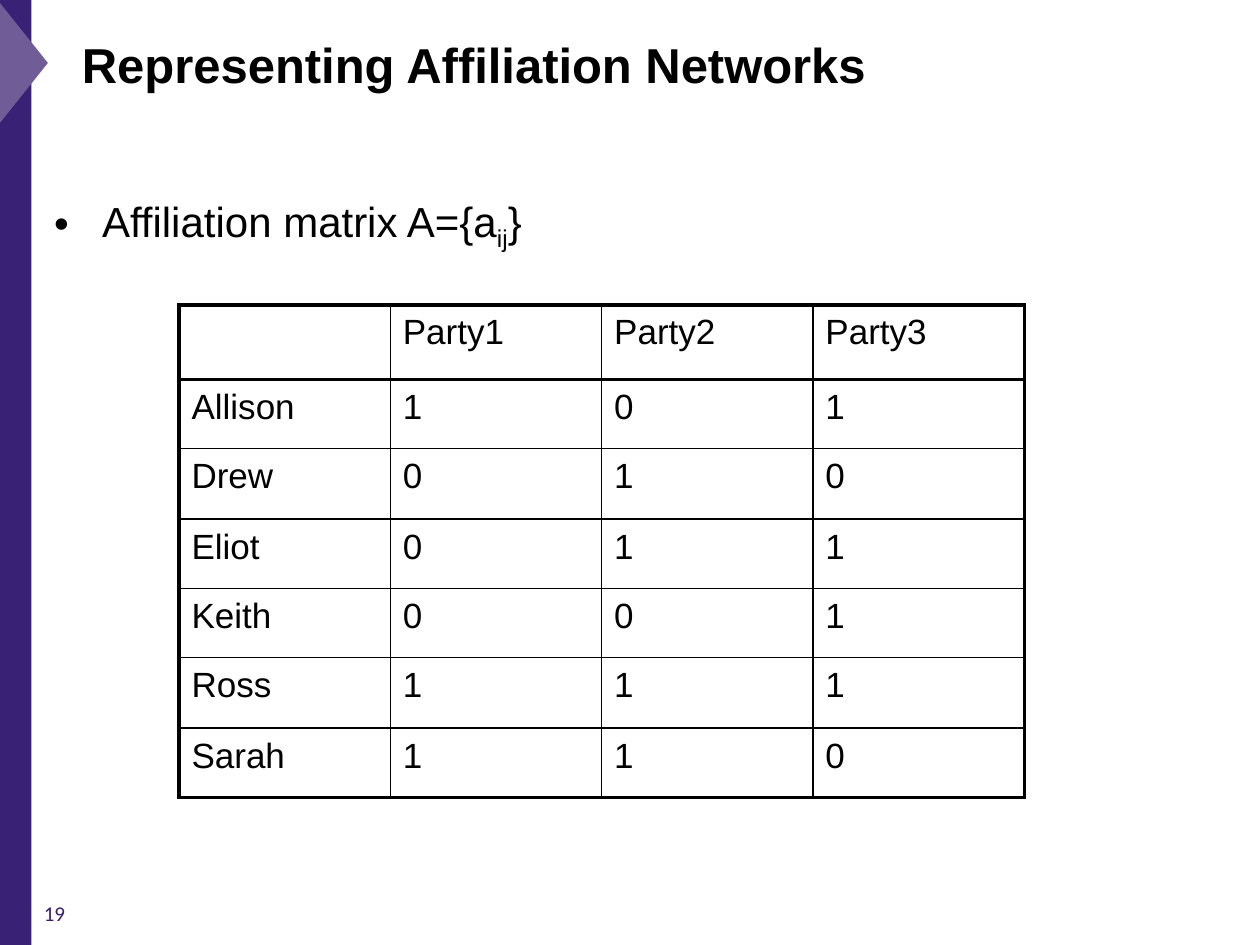
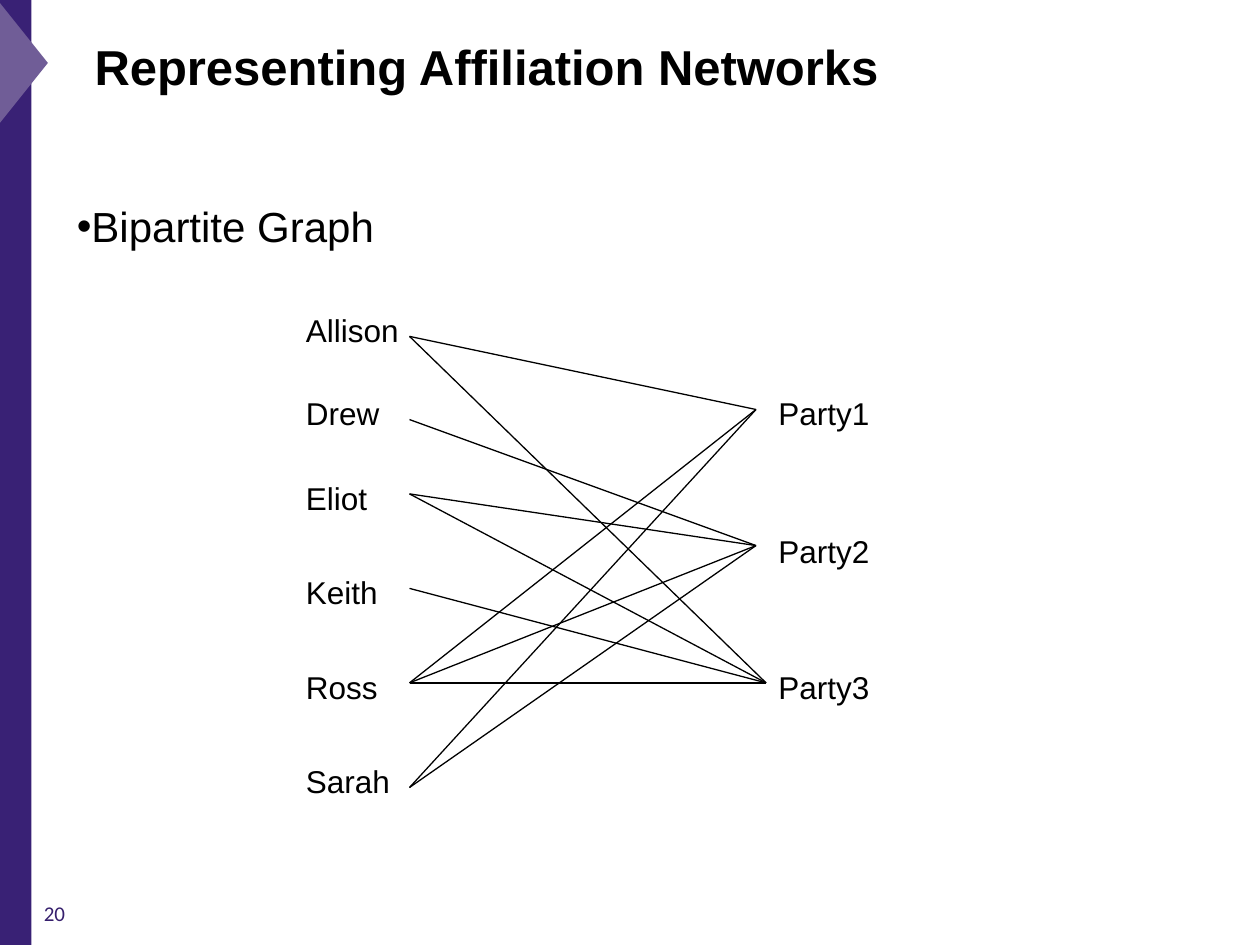
from dataclasses import dataclass

from lxml import etree
from pptx import Presentation
from pptx.dml.color import RGBColor
from pptx.enum.shapes import MSO_CONNECTOR, MSO_SHAPE
from pptx.enum.text import MSO_ANCHOR, MSO_AUTO_SIZE, PP_ALIGN
from pptx.oxml.ns import qn
from pptx.util import Inches, Pt

LINE = MSO_CONNECTOR.STRAIGHT
RECT = MSO_SHAPE.RECTANGLE
ARROW = MSO_SHAPE.ISOSCELES_TRIANGLE
TOP, BOTTOM = MSO_ANCHOR.TOP, MSO_ANCHOR.BOTTOM
FIXED = MSO_AUTO_SIZE.NONE
LEFT = PP_ALIGN.LEFT


@dataclass(frozen=True)
class Theme:
    ink: str = "000000"
    band: str = "392175"
    tip: str = "705D97"
    page: str = "361F6D"
    face: str = "Arial"
    foot: str = "Calibri"
    head: int = 28
    list: int = 24
    cell: int = 20
    label: int = 18
    note: int = 12
    thick: float = 2.25
    thin: float = 1
    edge: float = 0.75


TITLE = "Representing Affiliation Networks"
PARTIES = ["Party1", "Party2", "Party3"]
LINKS = {
    "Allison": (1, 0, 1),
    "Drew": (0, 1, 0),
    "Eliot": (0, 1, 1),
    "Keith": (0, 0, 1),
    "Ross": (1, 1, 1),
    "Sarah": (1, 1, 0),
}


def place(shape, box):
    shape.left, shape.top, shape.width, shape.height = map(Inches, box)


class Deck:
    def __init__(self, theme):
        self.theme = theme
        self.file = Presentation()
        self.file.slide_width = Inches(10)
        self.file.slide_height = Inches(7.5)
        self.slide = None

    def start(self, number, title, box):
        self.slide = self.file.slides.add_slide(self.file.slide_layouts[1])
        self.shape(RECT, (-0.01, 0, 0.26, 7.5), self.theme.band)
        self.shape(ARROW, (-0.32, 0.3, 1, 0.4), self.theme.tip, 90)
        self.holder(self.slide.shapes.title, title, box, self.theme.head, BOTTOM, True)
        self.text(str(number), (0.25, 7.1, 2.33, 0.4), self.theme.note,
                  self.theme.page, self.theme.foot)

    def style(self, para, size, color=None, face=None, bold=False):
        font = para.font
        font.name = face or self.theme.face
        font.size = Pt(size)
        font.bold = bold
        font.color.rgb = RGBColor.from_string(color or self.theme.ink)
        para.alignment = LEFT

    def shape(self, kind, box, color, turn=0):
        shape = self.slide.shapes.add_shape(kind, *map(Inches, box))
        shape.rotation = turn
        shape.shadow.inherit = False
        shape.fill.solid()
        shape.fill.fore_color.rgb = RGBColor.from_string(color)
        shape.line.fill.background()

    def holder(self, shape, text, box, size, anchor, bold=False):
        place(shape, box)
        frame = shape.text_frame
        frame.auto_size = FIXED
        frame.word_wrap = True
        frame.vertical_anchor = anchor
        para = frame.paragraphs[0]
        para.text = text
        self.style(para, size, bold=bold)
        return para

    def bullet(self, text, box, indent):
        para = self.holder(self.slide.placeholders[1], text, box, self.theme.list, TOP)
        props = para._p.get_or_add_pPr()
        props.set("marL", str(Inches(indent)))
        props.set("indent", str(-Inches(indent)))
        return para

    def text(self, text, box, size, color=None, face=None):
        frame = self.slide.shapes.add_textbox(*map(Inches, box)).text_frame
        frame.word_wrap = True
        para = frame.paragraphs[0]
        para.text = text
        self.style(para, size, color, face)

    def line(self, start, end):
        line = self.slide.shapes.add_connector(LINE, *map(Inches, start + end))
        line.line.width = Pt(self.theme.edge)
        line.line.color.rgb = RGBColor.from_string(self.theme.ink)
        etree.SubElement(line._element.spPr, qn("a:effectLst"))

    def border(self, cell, side, width):
        props = cell._tc.get_or_add_tcPr()
        line = etree.SubElement(props, qn(f"a:ln{side}"), w=str(Pt(width)))
        fill = etree.SubElement(line, qn("a:solidFill"))
        etree.SubElement(fill, qn("a:srgbClr"), val=self.theme.ink)

    def table(self, rows, box, heights):
        frame = self.slide.shapes.add_table(len(rows), len(rows[0]), *map(Inches, box))
        table = frame.table
        table.first_row = table.horz_banding = False
        for row, height in zip(table.rows, heights):
            row.height = Inches(height)
        last_row, last_col = len(rows) - 1, len(rows[0]) - 1
        for r, row in enumerate(rows):
            for c, value in enumerate(row):
                cell = table.cell(r, c)
                para = cell.text_frame.paragraphs[0]
                para.text = str(value)
                para.line_spacing = 1.05
                self.style(para, self.theme.cell)
                heavy = {"L": c == 0, "R": c == last_col,
                         "T": r < 2, "B": r in (0, last_row)}
                for side, bold in heavy.items():
                    self.border(cell, side, self.theme.thick if bold else self.theme.thin)
                cell.fill.background()


def matrix(deck):
    deck.start(19, TITLE, (0.55, 0.22, 9.34, 0.57))
    para = deck.bullet("Affiliation matrix A={a", (0.33, 1.5, 4.59, 4.92), 0.38)
    sub = para.add_run()
    sub.text = "ij"
    sub._r.get_or_add_rPr().set("baseline", "-25000")
    para.add_run().text = "}"
    rows = [["", *PARTIES]] + [[name, *row] for name, row in LINKS.items()]
    heights = [0.59, 0.55, 0.56, 0.55, 0.55, 0.56, 0.55]
    deck.table(rows, (1.42, 2.42, 6.71, 3.91), heights)


def graph(deck):
    deck.start(20, TITLE, (0.65, 0.18, 8.58, 0.63))
    deck.bullet("Bipartite Graph", (0.51, 1.54, 8.74, 0.58), 0)
    size = deck.theme.label
    for name, top in zip(LINKS, (2.42, 3.08, 3.75, 4.5, 5.25, 6)):
        deck.text(name, (2.33, top, 1.33, 0.4), size)
    for name, top in zip(PARTIES, (3.08, 4.17, 5.25)):
        deck.text(name, (6.08, top, 1.33, 0.4), size)
    starts = [(3.25, y) for y in (2.67, 3.33, 3.92, 4.67, 5.42, 6.25)]
    ends = [(6, 3.25), (6, 4.33), (6.08, 5.42)]
    for start, row in zip(starts, LINKS.values()):
        for end, joined in zip(ends, row):
            if joined:
                deck.line(start, end)


def main():
    deck = Deck(Theme())
    matrix(deck)
    graph(deck)
    deck.file.save("out.pptx")


if __name__ == "__main__":
    main()
